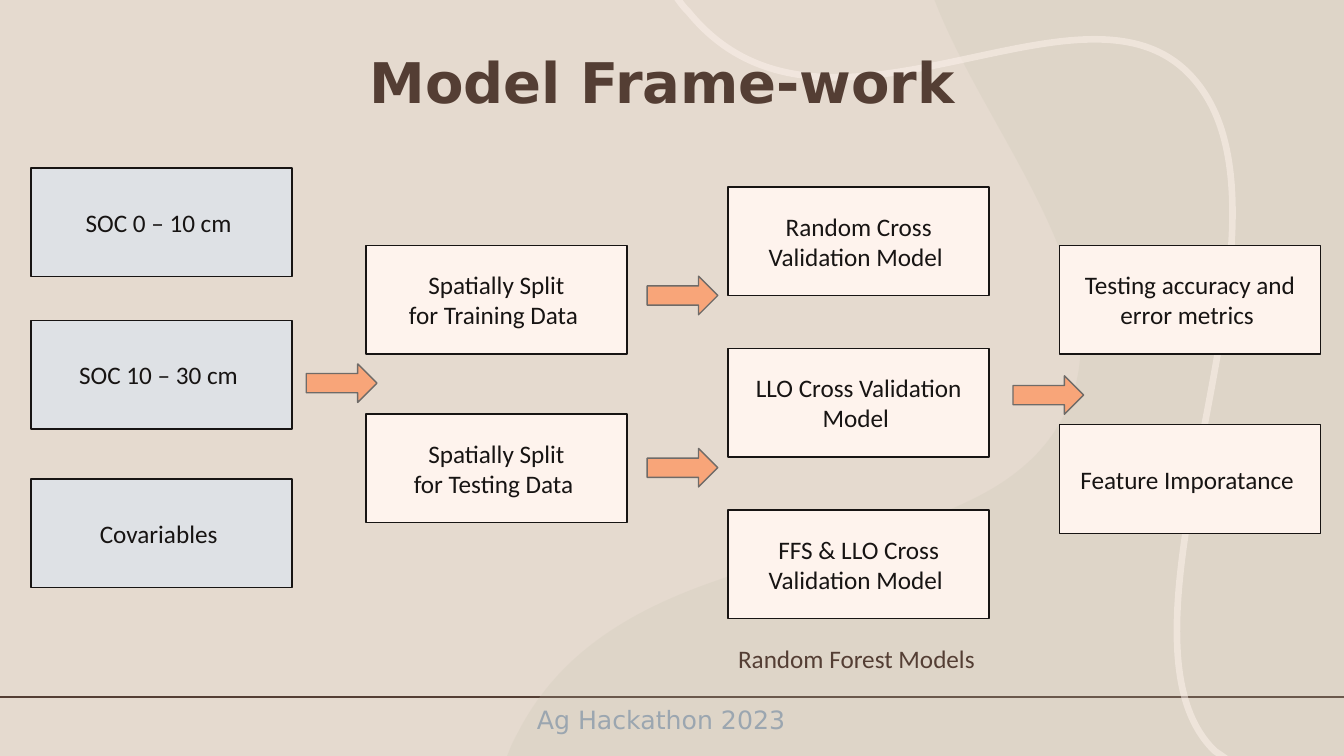
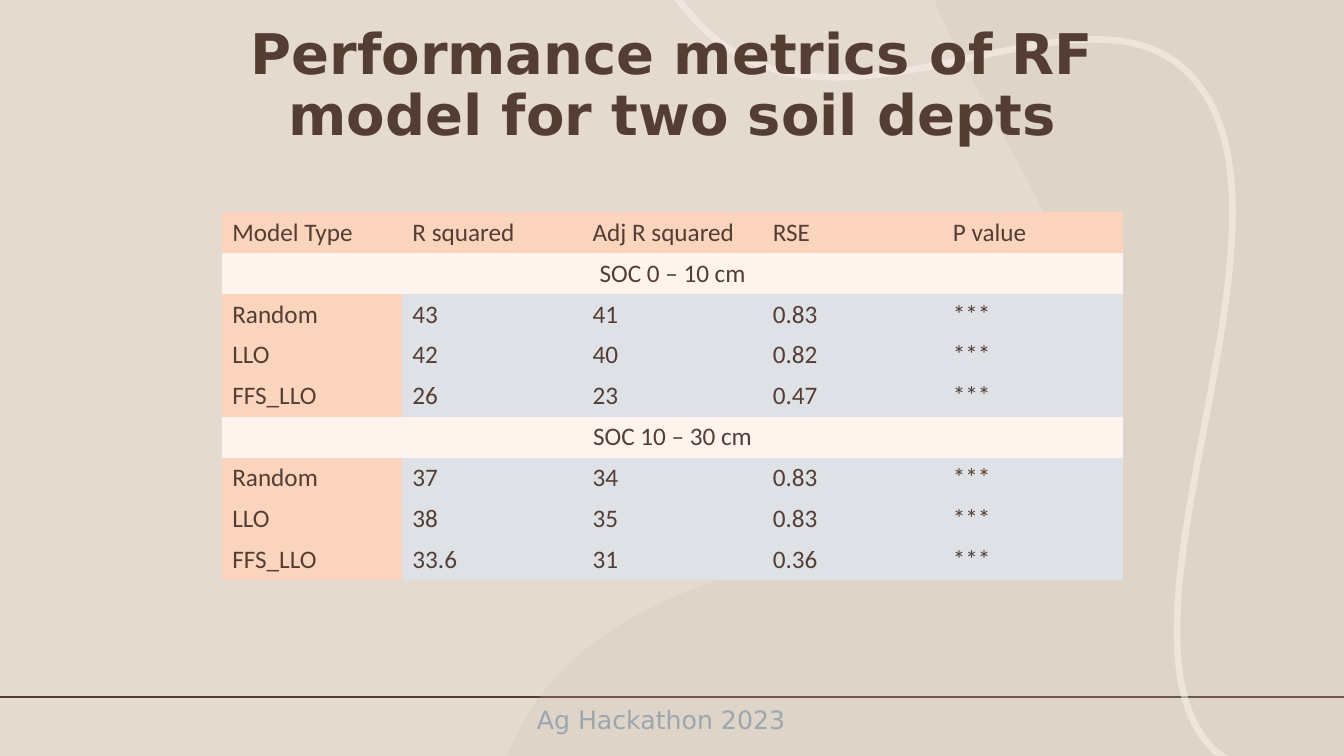
from lxml.etree import SubElement
from pptx import Presentation
from pptx.dml.color import RGBColor
from pptx.enum.shapes import MSO_CONNECTOR, MSO_SHAPE
from pptx.enum.text import MSO_ANCHOR, MSO_AUTO_SIZE, PP_ALIGN
from pptx.oxml.ns import qn
from pptx.util import Cm, Pt

SAND = RGBColor(0xE5, 0xDA, 0xCF)
OLIVE = RGBColor(0xC6, 0xC4, 0xAF)
CREAM = RGBColor(0xFE, 0xF3, 0xED)
BROWN = RGBColor(0x54, 0x3E, 0x34)
SLATE = RGBColor(0x9B, 0xA6, 0xB0)
MIST = RGBColor(0xDE, 0xE1, 0xE5)
INK = RGBColor(0x17, 0x14, 0x13)
ORANGE = RGBColor(0xF8, 0xA5, 0x79)
PEACH = RGBColor(0xFB, 0xD4, 0xBE)
GRAY = RGBColor(0x6F, 0x6B, 0x68)

TITLE_FONT = {"name": "DejaVu Sans", "size": Pt(40), "bold": True}
FOOTER_FONT = {"name": "DejaVu Sans", "size": Pt(18), "bold": False}
BODY_FONT = {"name": "Calibri", "size": Pt(18), "bold": False}

HARD_SPACE = chr(160)
WIDTH, HEIGHT = 33.87, 19.05
BOX_WIDTH, BOX_HEIGHT = 6.58, 2.74
ARROW_WIDTH, ARROW_HEIGHT = 1.78, 0.97

BLOB = [
    [(23.55, 0)], [(WIDTH, 0)], [(WIDTH, HEIGHT)], [(12.78, HEIGHT)], [(12.88, 18.8)],
    [(12.98, 18.57), (13.08, 18.42), (13.13, 18.31)],
    [(16.03, 13), (24.43, 14.68), (26.72, 10.64)],
    [(28.52, 7.52), (25.1, 3.71), (23.67, 0.3)],
]
RIBBON = [
    [(30.91, 19.13)], [(30.84, 19.08)], [(30.61, 18.92)],
    [(27.53, 15.93), (33.2, 5.59), (30.1, 2.01)],
    [(27.38, -1.19), (20.83, 4.57), (17.35, 0.3)],
    [(17.27, 0.23), (17.17, 0.1), (17.04, -0.08)],
]

BOX_COLUMNS = [
    (0.78, MIST, [(4.23, "SOC 0 – 10 cm"), (8.07, "SOC 10 – 30 cm"), (12.07, "Covariables")]),
    (9.22, CREAM, [(6.18, f"Spatially Split for{HARD_SPACE}Training Data"),
                   (10.43, f"Spatially Split for{HARD_SPACE}Testing{HARD_SPACE}Data")]),
    (18.35, CREAM, [(4.71, "Random Cross Validation Model"),
                    (8.78, "LLO Cross Validation Model"),
                    (12.85, "FFS & LLO Cross Validation Model")]),
    (26.7, CREAM, [(6.18, "Testing accuracy and error metrics"),
                   (10.7, "Feature Imporatance")]),
]
ARROWS = [(7.72, 9.17), (16.31, 6.96), (16.31, 11.3), (25.53, 9.47)]

METRICS = [
    ["Model Type", "R squared", "Adj R squared", "RSE", "P value"],
    ["SOC 0 – 10 cm"],
    ["Random", "43", "41", "0.83", "***"],
    ["LLO", "42", "40", "0.82", "***"],
    ["FFS_LLO", "26", "23", "0.47", "***"],
    ["SOC 10 – 30 cm"],
    ["Random", "37", "34", "0.83", "***"],
    ["LLO", "38", "35", "0.83", "***"],
    ["FFS_LLO", "33.6", "31", "0.36", "***"],
]


def apply(target, formats):
    for name, value in formats.items():
        setattr(target, name, value)


def write(frame, text, font, color, align=PP_ALIGN.LEFT):
    para = frame.paragraphs[0]
    para.alignment = align
    span = para.add_run()
    span.text = text
    apply(span.font, font)
    span.font.color.rgb = color
    return para


def set_line(shape, color, width):
    shape.line.color.rgb = color
    shape.line.width = Pt(width)


def set_opacity(shape, percent):
    for color in shape.element.spPr.iter(qn("a:srgbClr")):
        SubElement(color, qn("a:alpha"), val=str(percent * 1000))


def add_outline(page, segments, closed):
    anchors = [(Cm(x), Cm(y)) for x, y in (segment[-1] for segment in segments)]
    builder = page.shapes.build_freeform(*anchors[0])
    builder.add_line_segments(anchors[1:], close=closed)
    shape = builder.convert_to_shape()
    shape.shadow.inherit = False
    lines = list(shape.element.spPr.iter(qn("a:lnTo")))
    for line, segment in zip(lines, segments[1:]):
        if len(segment) == 3:
            line.tag = qn("a:cubicBezTo")
            for point in list(line):
                line.remove(point)
            for x, y in segment:
                SubElement(line, qn("a:pt"), x=str(Cm(x) - shape.left), y=str(Cm(y) - shape.top))
    return shape


def add_text(page, left, top, width, text, font, color):
    box = page.shapes.add_textbox(Cm(left), Cm(top), Cm(width), Cm(1.02))
    box.text_frame.word_wrap = True
    write(box.text_frame, text, font, color)
    return box


def add_box(page, left, top, text, fill):
    box = page.shapes.add_shape(MSO_SHAPE.RECTANGLE, Cm(left), Cm(top), Cm(BOX_WIDTH), Cm(BOX_HEIGHT))
    box.shadow.inherit = False
    box.fill.solid()
    box.fill.fore_color.rgb = fill
    set_line(box, INK, 1)
    apply(box.text_frame, {"word_wrap": True, "vertical_anchor": MSO_ANCHOR.MIDDLE})
    write(box.text_frame, text + HARD_SPACE, BODY_FONT, INK, PP_ALIGN.CENTER)


def add_arrow(page, left, top):
    arrow = page.shapes.add_shape(MSO_SHAPE.DOWN_ARROW,
                                  Cm(left + (ARROW_WIDTH - ARROW_HEIGHT) / 2),
                                  Cm(top - (ARROW_WIDTH - ARROW_HEIGHT) / 2),
                                  Cm(ARROW_HEIGHT), Cm(ARROW_WIDTH))
    arrow.rotation = 270
    arrow.shadow.inherit = False
    arrow.fill.solid()
    arrow.fill.fore_color.rgb = ORANGE
    set_line(arrow, GRAY, 1)


def add_title(page, text, top):
    title = page.shapes.title
    apply(title, {"left": Cm(5.08), "top": Cm(top), "width": Cm(23.71), "height": Cm(2.38)})
    apply(title.text_frame, {"word_wrap": True, "auto_size": MSO_AUTO_SIZE.NONE,
                             "vertical_anchor": MSO_ANCHOR.BOTTOM})
    para = write(title.text_frame, text, TITLE_FONT, BROWN, PP_ALIGN.CENTER)
    para.line_spacing = 0.9


def add_metrics(page, left, top):
    columns = len(METRICS[0])
    frame = page.shapes.add_table(len(METRICS), columns, Cm(left), Cm(top),
                                  Cm(4.54 * columns), Cm(1.03 * len(METRICS)))
    for style in frame.element.iter(qn("a:tableStyleId")):
        style.text = "{2D5ABB26-0587-4C30-8999-92F81FD0307C}"
    table = frame.table
    apply(table, {"first_row": False, "horz_banding": False})
    for column in table.columns:
        column.width = Cm(4.54)
    for row, values in enumerate(METRICS):
        table.rows[row].height = Cm(1.03 if row else 1)
        banner = len(values) == 1
        if banner:
            table.cell(row, 0).merge(table.cell(row, columns - 1))
        for column, value in enumerate(values):
            cell = table.cell(row, column)
            cell.fill.solid()
            cell.fill.fore_color.rgb = CREAM if banner else PEACH if row == 0 or column == 0 else MIST
            write(cell.text_frame, value, BODY_FONT, BROWN,
                  PP_ALIGN.CENTER if banner else PP_ALIGN.LEFT)


def decorate_layout(layout, page):
    layout.background.fill.solid()
    layout.background.fill.fore_color.rgb = SAND

    rule = page.shapes.add_connector(MSO_CONNECTOR.STRAIGHT, 0, Cm(17.57), Cm(WIDTH), Cm(17.57))
    set_line(rule, BROWN, 1.25)
    SubElement(rule.element.spPr, qn("a:effectLst"))

    blob = add_outline(page, BLOB, True)
    blob.fill.solid()
    blob.fill.fore_color.rgb = OLIVE
    blob.line.fill.background()
    set_opacity(blob, 20)

    ribbon = add_outline(page, RIBBON, False)
    ribbon.fill.background()
    set_line(ribbon, CREAM, 4.75)
    set_opacity(ribbon, 50)

    footer = add_text(page, 13.28, 17.63, 17.2, "Ag Hackathon 2023", FOOTER_FONT, SLATE)
    for shape in (rule, blob, ribbon, footer):
        layout.shapes.element.append(shape.element)


def build_framework(page):
    add_title(page, "Model Frame-work" + HARD_SPACE, 0.67)
    for left, fill, boxes in BOX_COLUMNS:
        for top, text in boxes:
            add_box(page, left, top, text, fill)
    for left, top in ARROWS:
        add_arrow(page, left, top)
    add_text(page, 18.35, 16.08, 7.85, "Random Forest Models", BODY_FONT, BROWN)


def build_performance(page):
    add_metrics(page, 5.6, 5.35)
    add_title(page, "Performance metrics of RF model for two soil depts", 1.46)


def main():
    deck = Presentation()
    apply(deck, {"slide_width": Cm(WIDTH), "slide_height": Cm(HEIGHT)})
    layout = deck.slide_layouts.get_by_name("Title Only")
    framework = deck.slides.add_slide(layout)
    decorate_layout(layout, framework)
    build_framework(framework)
    build_performance(deck.slides.add_slide(layout))
    deck.save("out.pptx")


if __name__ == "__main__":
    main()
